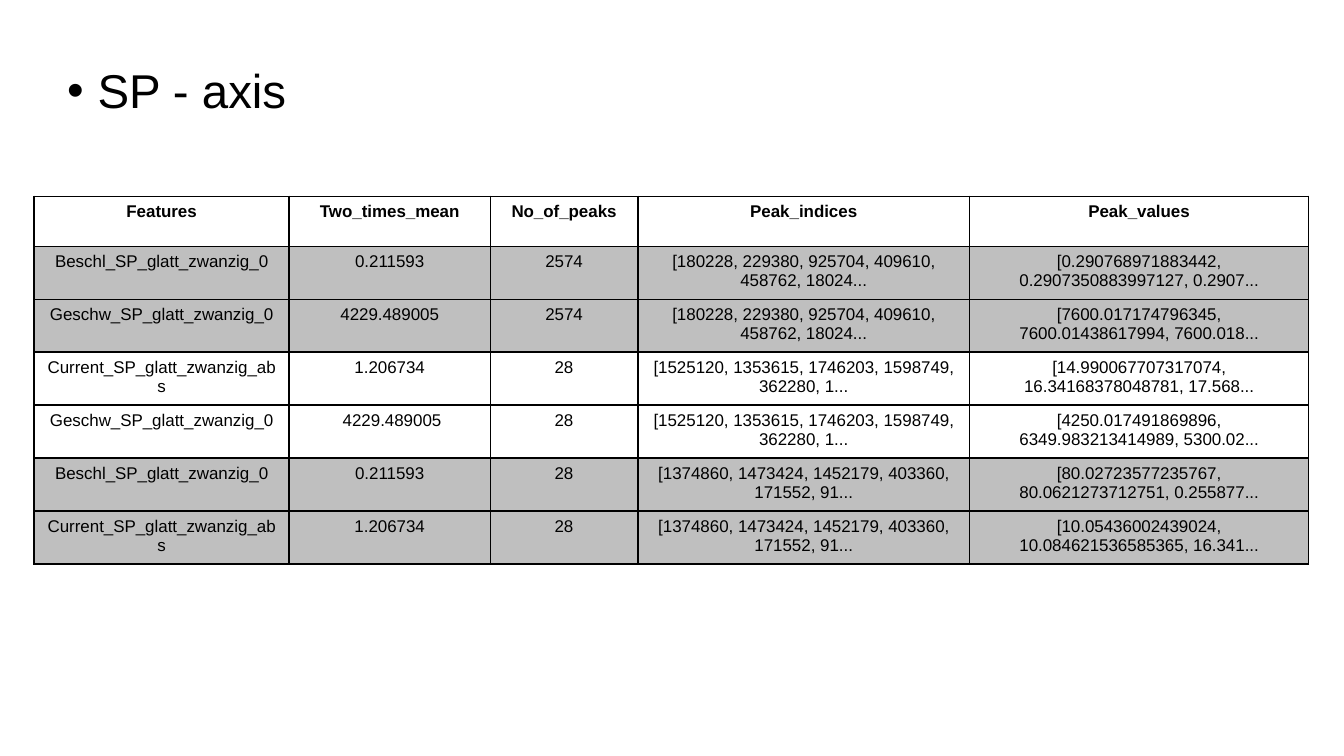
from lxml import etree
from pptx import Presentation
from pptx import util as u
from pptx.dml.color import RGBColor
from pptx.enum import text
from pptx.oxml.ns import qn

HEADS = ["Features", "Two_times_mean", "No_of_peaks", "Peak_indices", "Peak_values"]
WIDTHS = [2.09, 1.65, 1.21, 2.72, 2.78]
ROW_H = 0.41
GREY, WHITE = "BFBFBF", "FFFFFF"

BESCHL = ("Beschl_SP_glatt_zwanzig_0", "0.211593")
GESCHW = ("Geschw_SP_glatt_zwanzig_0", "4229.489005")
CURRENT = ("Current_SP_glatt_zwanzig_abs", "1.206734")

# Each group shares a fill, a peak count and its peak indices.
GROUPS = [
    (GREY, "2574", "[180228, 229380, 925704, 409610, 458762, 18024...", [
        (BESCHL, "[0.290768971883442, 0.2907350883997127, 0.2907..."),
        (GESCHW, "[7600.017174796345, 7600.01438617994, 7600.018..."),
    ]),
    (WHITE, "28", "[1525120, 1353615, 1746203, 1598749, 362280, 1...", [
        (CURRENT, "[14.990067707317074, 16.34168378048781, 17.568..."),
        ((GESCHW[0], " " + GESCHW[1]), "[4250.017491869896, 6349.983213414989, 5300.02..."),
    ]),
    (GREY, "28", "[1374860, 1473424, 1452179, 403360, 171552, 91...", [
        (BESCHL, "[80.02723577235767, 80.0621273712751, 0.255877..."),
        (CURRENT, "[10.05436002439024, 10.084621536585365, 16.341..."),
    ]),
]


def color(code):
    return RGBColor.from_string(code)


def write(frame, words, size=10, bold=False, align=text.PP_ALIGN.CENTER, ink="000000", font="Arial"):
    para = frame.paragraphs[0]
    para.alignment = align
    run = para.add_run()
    run.text = words
    run.font.name = font
    run.font.size = u.Pt(size)
    run.font.bold = bold
    run.font.color.rgb = color(ink)
    return para


class Deck:
    line = "000000"
    weight = 1

    def __init__(self, width, height):
        self.show = Presentation()
        self.show.slide_width = u.Inches(width)
        self.show.slide_height = u.Inches(height)
        self.slide = self.show.slides.add_slide(self.show.slide_layouts[6])

    def bullet(self, words, left, top, width, height, indent=0.25):
        frame = self.slide.shapes.add_textbox(*map(u.Inches, (left, top, width, height))).text_frame
        frame.word_wrap = True
        frame.margin_left = frame.margin_right = frame.margin_top = frame.margin_bottom = 0
        para = write(frame, words, size=28, align=text.PP_ALIGN.LEFT)
        para.line_spacing = 0.9
        props = para._p.get_or_add_pPr()
        props.set("marL", str(u.Inches(indent)))
        props.set("indent", str(u.Inches(-indent)))
        etree.SubElement(props, qn("a:buFont"), typeface="Arial")
        etree.SubElement(props, qn("a:buChar"), char="•")

    def border(self, cell):
        props = cell._tc.get_or_add_tcPr()
        for spot, side in enumerate(("lnL", "lnR", "lnT", "lnB")):
            edge = etree.Element(qn("a:" + side), w=str(u.Pt(self.weight)))
            fill = etree.SubElement(edge, qn("a:solidFill"))
            etree.SubElement(fill, qn("a:srgbClr"), val=self.line)
            props.insert(spot, edge)

    def table(self, rows, fills, left, top, widths, height):
        size = (sum(widths), height * len(rows))
        grid = self.slide.shapes.add_table(
            len(rows), len(widths), *map(u.Inches, (left, top, *size))).table
        grid.horz_banding = False
        for col, width in zip(grid.columns, widths):
            col.width = u.Inches(width)
        for r, (row, fill) in enumerate(zip(rows, fills)):
            grid.rows[r].height = u.Inches(height)
            for c, words in enumerate(row):
                cell = grid.cell(r, c)
                cell.fill.solid()
                cell.fill.fore_color.rgb = color(fill)
                write(cell.text_frame, words, bold=r == 0)
                self.border(cell)


def main():
    rows, fills = [HEADS], [WHITE]
    for fill, count, spots, items in GROUPS:
        for (name, mean), peaks in items:
            rows.append([name, mean, count, spots, peaks])
            fills.append(fill)
    deck = Deck(11.02, 6.2)
    deck.bullet("SP - axis", 0.55, 0.55, 9.92, 0.86)
    deck.table(rows, fills, 0.28, 1.61, WIDTHS, ROW_H)
    deck.show.save("out.pptx")


if __name__ == "__main__":
    main()
